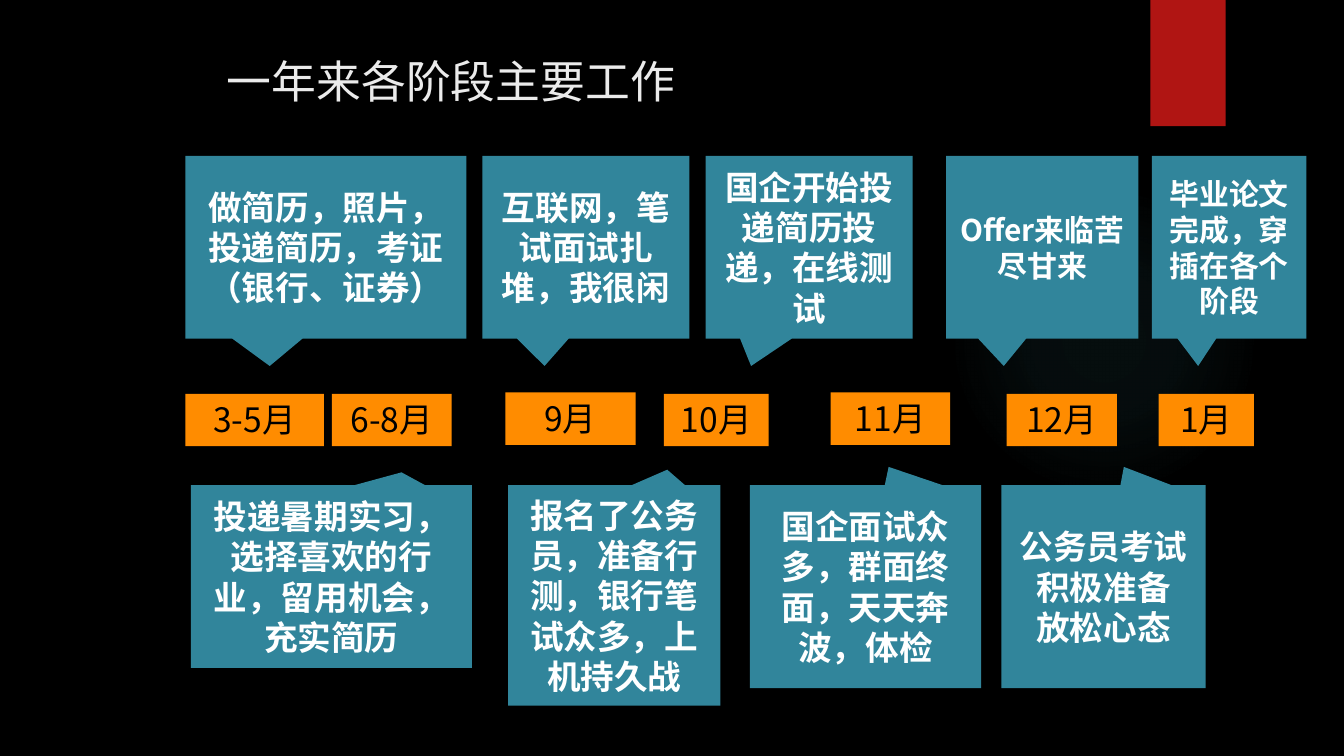
import pptx
import pptx.util
import pptx.dml.color
import pptx.enum.shapes
import pptx.enum.text
import pptx.oxml
import pptx.oxml.ns
import lxml.etree

Inches = pptx.util.Inches
SHAPE = pptx.enum.shapes.MSO_SHAPE
ANCHOR = pptx.enum.text.MSO_ANCHOR
ALIGN = pptx.enum.text.PP_ALIGN
RGB = pptx.dml.color.RGBColor.from_string
qn = pptx.oxml.ns.qn

COLORS = {"background": "000000", "glow": "50B9C1", "ribbon": "B01513",
          "title": "EBEBEB", "month": "FF8C00", "month_text": "000000",
          "task": "31859B", "task_text": "FFFFFF"}
CJK_FONT = "Noto Sans CJK SC"

deck = pptx.Presentation()
deck.slide_width = Inches(10)
deck.slide_height = Inches(10 * 9 / 16)
slide = deck.slides.add_slide(deck.slide_layouts[6])
slide.background.fill.solid()
slide.background.fill.fore_color.rgb = RGB(COLORS["background"])


def add_block(preset, left, top, width, height, color):
    block = slide.shapes.add_shape(preset, Inches(left), Inches(top), Inches(width), Inches(height))
    block.shadow.inherit = False
    block.fill.solid()
    block.fill.fore_color.rgb = RGB(COLORS[color])
    block.line.fill.background()
    return block


def write(frame, text, size, color, align, font=CJK_FONT, bold=False):
    frame.word_wrap = True
    frame.text = text
    for paragraph in frame.paragraphs:
        paragraph.alignment = align
        paragraph._p.get_or_add_pPr().set("hangingPunct", "0")
        for run in paragraph.runs:
            run.font.size = pptx.util.Pt(size)
            run.font.name = font
            run.font.bold = bold
            run.font.color.rgb = RGB(COLORS[color])
            east_asian = lxml.etree.SubElement(run.font._element, qn("a:ea"))
            east_asian.set("typeface", CJK_FONT)


glow = add_block(SHAPE.OVAL, 7.06, 1.38, 2.31, 2.31, "glow")
stops = "".join(
    f'<a:gs pos="{position}000"><a:srgbClr val="{COLORS["glow"]}">'
    f'<a:alpha val="{opacity}000"/></a:srgbClr></a:gs>'
    for position, opacity in [(0, 7), (36, 6), (69, 0)])
gradient = pptx.oxml.parse_xml(
    f'<a:gradFill {pptx.oxml.ns.nsdecls("a")}><a:gsLst>{stops}</a:gsLst><a:path path="circle">'
    '<a:fillToRect l="50000" t="50000" r="50000" b="50000"/></a:path></a:gradFill>')
solid = glow._element.spPr.find(qn("a:solidFill"))
solid.getparent().replace(solid, gradient)

add_block(SHAPE.RECTANGLE, 8.56, 0, 0.56, 0.94, "ribbon")

title = slide.shapes.add_textbox(Inches(1.59), Inches(0.35), Inches(6.75), Inches(0.45)).text_frame
write(title, "一年来各阶段主要工作", 24, "title", ALIGN.LEFT, "League Spartan")
title.vertical_anchor = ANCHOR.BOTTOM
title.margin_bottom = 0

months = [
    ("3-5月", 1.38, 2.93, 1.03), ("6-8月", 2.47, 2.93, 0.89), ("9月", 3.76, 2.92, 0.97),
    ("10月", 4.94, 2.93, 0.78), ("11月", 6.18, 2.92, 0.89), ("12月", 7.49, 2.93, 0.82),
    ("1月", 8.62, 2.93, 0.71),
]
for name, left, top, width in months:
    month = add_block(SHAPE.RECTANGLE, left, top, width, 0.39, "month")
    frame = month.text_frame
    write(frame, name, 18, "month_text", ALIGN.CENTER)
    frame.vertical_anchor = ANCHOR.TOP
    frame.margin_left = frame.margin_right = Inches(0.08)
    frame.margin_top = frame.margin_bottom = Inches(0.04)

UPPER, LOWER = 1.16, 3.61
tasks = [
    ("做简历，照片，投递简历，考证（银行、证券）", 1.38, UPPER, 2.09, 1.36, -0.2, 0.65, 18),
    ("投递暑期实习，选择喜欢的行业，留用机会，充实简历", 1.42, LOWER, 2.09, 1.36, 0.25, -0.57, 18),
    ("互联网，笔试面试扎堆，我很闲", 3.59, UPPER, 1.54, 1.36, -0.2, 0.65, 18),
    ("国企开始投递简历投递，在线测试", 5.25, UPPER, 1.54, 1.36, -0.28, 0.65, 18),
    ("国企面试众多，群面终面，天天奔波，体检", 5.58, LOWER, 1.72, 1.51, 0.1, -0.59, 18),
    ("报名了公务员，准备行测，银行笔试众多，上机持久战", 3.78, LOWER, 1.58, 1.64, 0.25, -0.57, 18),
    ("Offer来临苦尽甘来", 7.04, UPPER, 1.43, 1.36, -0.2, 0.65, 16),
    ("公务员考试\n积极准备\n放松心态", 7.45, LOWER, 1.52, 1.51, 0.1, -0.59, 18),
    ("毕业论文完成，穿插在各个阶段", 8.57, UPPER, 1.15, 1.36, -0.2, 0.65, 16),
]
for text, left, top, width, height, tip_x, tip_y, size in tasks:
    task = add_block(SHAPE.RECTANGULAR_CALLOUT, left, top, width, height, "task")
    task.adjustments[0], task.adjustments[1] = tip_x, tip_y
    write(task.text_frame, text, size, "task_text", ALIGN.CENTER, bold=True)
    task.text_frame.vertical_anchor = ANCHOR.MIDDLE

deck.save("out.pptx")
